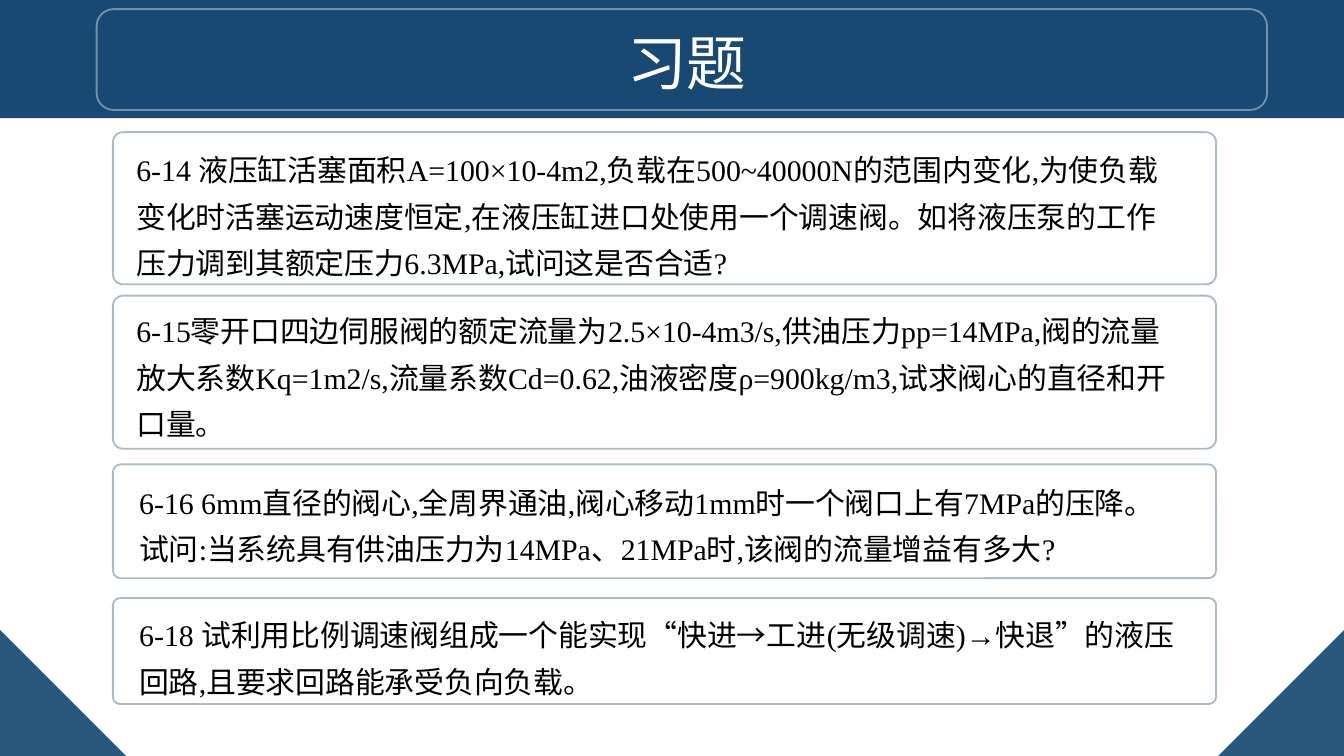
"""Build the exercise slide with four framed hydraulic problems."""
from dataclasses import dataclass
from typing import Optional

from lxml.etree import SubElement
from pptx import Presentation
from pptx.dml.color import RGBColor
from pptx.dml.fill import FillFormat
from pptx.enum.shapes import MSO_SHAPE
from pptx.enum.text import MSO_AUTO_SIZE, PP_ALIGN
from pptx.oxml.ns import qn
from pptx.shapes.autoshape import Shape
from pptx.slide import Slide
from pptx.util import Pt

NAVY = RGBColor(0x18, 0x49, 0x72)
WHITE = RGBColor(0xFF, 0xFF, 0xFF)
BLACK = RGBColor(0, 0, 0)
FONT = "Times New Roman"
WIDTH, HEIGHT = 720, 405
CORNER = 67.5
FRAME_LEFT, FRAME_WIDTH = 60.5, 591


@dataclass(frozen=True)
class Box:
    left: float
    top: float
    width: float
    height: float


@dataclass(frozen=True)
class Exercise:
    frame_top: float
    frame_height: float
    text_box: Box
    text: str


EXERCISES = [
    Exercise(70.8, 81.5, Box(66, 72, 571, 80),
             "6-14 液压缸活塞面积A=100×10-4m2,负载在500~40000N的范围内变化,"
             "为使负载变化时活塞运动速度恒定,在液压缸进口处使用一个调速阀。"
             "如将液压泵的工作压力调到其额定压力6.3MPa,试问这是否合适?"),
    Exercise(158.4, 82, Box(66, 158.4, 571, 80),
             "6-15零开口四边伺服阀的额定流量为2.5×10-4m3/s,供油压力pp=14MPa,"
             "阀的流量放大系数Kq=1m2/s,流量系数Cd=0.62,油液密度ρ=900kg/m3,"
             "试求阀心的直径和开口量。"),
    Exercise(248.8, 61, Box(67.5, 250.2, 569, 57.6),
             "6-16 6mm直径的阀心,全周界通油,阀心移动1mm时一个阀口上有7MPa的压降。"
             "试问:当系统具有供油压力为14MPa、21MPa时,该阀的流量增益有多大?"),
    Exercise(320.4, 56.8, Box(67.5, 321.2, 569, 57.6),
             "6-18 试利用比例调速阀组成一个能实现“快进→工进(无级调速)→快退”"
             "的液压回路,且要求回路能承受负向负载。"),
]


def paint(fill: FillFormat, color: RGBColor, opacity: int, parent) -> None:
    """Apply a solid colour with the given opacity percentage."""
    fill.solid()
    fill.fore_color.rgb = color
    if opacity < 100:
        rgb = parent.find(qn("a:solidFill")).find(qn("a:srgbClr"))
        SubElement(rgb, qn("a:alpha")).set("val", str(opacity * 1000))


def add_filled(s: Slide, kind: MSO_SHAPE, box: Box, opacity: int = 100,
               rotation: float = 0) -> Shape:
    """Add a navy shape without an outline."""
    sp = s.shapes.add_shape(kind, Pt(box.left), Pt(box.top), Pt(box.width), Pt(box.height))
    sp.shadow.inherit = False
    sp.rotation = rotation
    sp.line.fill.background()
    paint(sp.fill, NAVY, opacity, sp.fill._xPr)
    return sp


def add_frame(s: Slide, box: Box, color: RGBColor, opacity: int,
              radius: Optional[float] = None) -> Shape:
    """Add a hollow rounded frame with a translucent outline."""
    sp = s.shapes.add_shape(MSO_SHAPE.ROUNDED_RECTANGLE, Pt(box.left), Pt(box.top),
                            Pt(box.width), Pt(box.height))
    sp.shadow.inherit = False
    sp.fill.background()
    sp.line.width = Pt(1)
    paint(sp.line.fill, color, opacity, sp.line._ln)
    if radius is not None:
        sp.adjustments[0] = radius
    return sp


def add_text(s: Slide, box: Box, text: str, *, size: float = 16,
             color: RGBColor = BLACK, align: Optional[PP_ALIGN] = None,
             spacing: Optional[float] = None) -> Shape:
    """Add a wrapped one-paragraph text box."""
    sp = s.shapes.add_textbox(Pt(box.left), Pt(box.top), Pt(box.width), Pt(box.height))
    tf = sp.text_frame
    tf.word_wrap = True
    tf.auto_size = MSO_AUTO_SIZE.SHAPE_TO_FIT_TEXT
    p = tf.paragraphs[0]
    p.alignment = align
    p.line_spacing = spacing
    r = p.add_run()
    r.text = text
    r.font.name = FONT
    r.font.size = Pt(size)
    r.font.color.rgb = color
    return sp


def main() -> None:
    """Create and save the slide."""
    prs = Presentation()
    prs.slide_width, prs.slide_height = Pt(WIDTH), Pt(HEIGHT)
    s = prs.slides.add_slide(prs.slide_layouts[6])

    add_filled(s, MSO_SHAPE.RECTANGLE, Box(0, 0, WIDTH, 63.3))
    for left, rotation in ((0, 0), (WIDTH - CORNER, 270)):
        corner = Box(left, HEIGHT - CORNER, CORNER, CORNER)
        add_filled(s, MSO_SHAPE.RIGHT_TRIANGLE, corner, opacity=92, rotation=rotation)

    add_text(s, Box(67.5, 10, 601, 46), "习题", size=32, color=WHITE, align=PP_ALIGN.CENTER)
    add_frame(s, Box(51.8, 4.9, 627, 54), WHITE, 40)

    for exercise in EXERCISES:
        frame = Box(FRAME_LEFT, exercise.frame_top, FRAME_WIDTH, exercise.frame_height)
        add_frame(s, frame, NAVY, 36, radius=0.067)
        add_text(s, exercise.text_box, exercise.text, spacing=1.3)

    prs.save("out.pptx")


if __name__ == "__main__":
    main()
